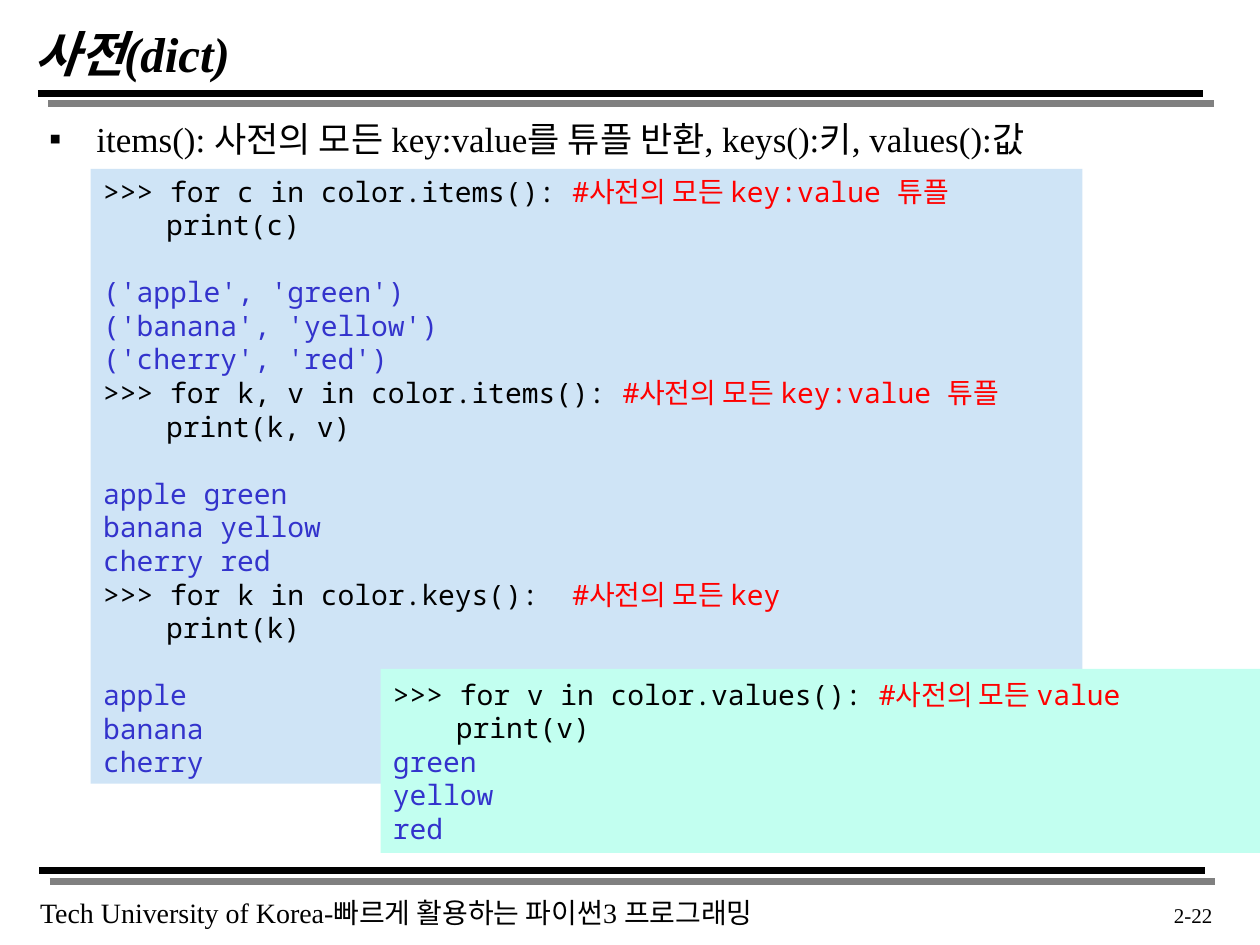
import pptx
import pptx.util
import pptx.dml.color
import pptx.enum.shapes
import pptx.enum.text
import pptx.oxml
import pptx.oxml.ns

Pt = pptx.util.Pt
RGB = pptx.dml.color.RGBColor
ALIGN = pptx.enum.text.PP_ALIGN
ANCHOR = pptx.enum.text.MSO_ANCHOR
AUTO = pptx.enum.text.MSO_AUTO_SIZE

BLACK = RGB(0x00, 0x00, 0x00)
RED = RGB(0xFF, 0x00, 0x00)
BLUE = RGB(0x33, 0x33, 0xCC)
PALE_BLUE = RGB(0xCF, 0xE4, 0xF6)
MINT = RGB(0xC2, 0xFF, 0xF0)
SERIF = "Times New Roman"
MONO = "Noto Sans Mono"
LINE_PITCH = 19.2

SHADOW = (
    f'<a:effectLst {pptx.oxml.ns.nsdecls("a")}>'
    '<a:outerShdw dist="107950" dir="2700000" algn="ctr" rotWithShape="0">'
    '<a:srgbClr val="808080"/></a:outerShdw></a:effectLst>'
)

ITEMS_CODE = [
    [(">>> for c in color.items(): ", BLACK), ("#사전의 모든 key:value 튜플", RED)],
    [("\tprint(c)", BLACK)],
    [],
    [("('apple', 'green')", BLUE)],
    [("('banana', 'yellow')", BLUE)],
    [("('cherry', 'red')", BLUE)],
    [(">>> for k, v in color.items(): ", BLACK), ("#사전의 모든 key:value 튜플", RED)],
    [("\tprint(k, v)", BLACK)],
    [],
    [("apple green", BLUE)],
    [("banana yellow", BLUE)],
    [("cherry red", BLUE)],
    [(">>> for k in color.keys():  ", BLACK), ("#사전의 모든 key", RED)],
    [("\tprint(k)", BLACK)],
    [],
    [("apple", BLUE)],
    [("banana", BLUE)],
    [("cherry", BLUE)],
]
VALUES_CODE = [
    [(">>> for v in color.values(): ", BLACK), ("#사전의 모든 value", RED)],
    [("\tprint(v)", BLACK)],
    [("green", BLUE)],
    [("yellow", BLUE)],
    [("red", BLUE)],
]


def place(sp, left, top, width, height):
    sp.left, sp.top, sp.width, sp.height = Pt(left), Pt(top), Pt(width), Pt(height)


def add_run(p, text, size, font=SERIF, color=BLACK, bold=False, italic=False):
    r = p.add_run()
    r.text = text
    r.font.name = font
    r.font.size = Pt(size)
    r.font.color.rgb = color
    r.font.bold = bold
    r.font.italic = italic


def add_rule(s, left, right, y):
    line = s.shapes.add_connector(
        pptx.enum.shapes.MSO_CONNECTOR.STRAIGHT, Pt(left), Pt(y), Pt(right), Pt(y))
    line.line.color.rgb = BLACK
    line.line.width = Pt(4)
    line._element.spPr.append(pptx.oxml.parse_xml(SHADOW))


def add_label(s, box, text, size, align=ALIGN.LEFT, wrap=True):
    tf = s.shapes.add_textbox(*map(Pt, box)).text_frame
    tf.word_wrap = wrap
    p = tf.paragraphs[0]
    p.alignment = align
    add_run(p, text, size)


def add_code(s, box, fill, lines):
    sp = s.shapes.add_shape(pptx.enum.shapes.MSO_SHAPE.RECTANGLE, *map(Pt, box))
    sp.shadow.inherit = False
    sp.fill.solid()
    sp.fill.fore_color.rgb = fill
    sp.line.fill.background()
    tf = sp.text_frame
    tf.word_wrap = True
    tf.vertical_anchor = ANCHOR.MIDDLE
    p, gap = tf.paragraphs[0], 0
    for line in lines:
        if not line:
            gap = LINE_PITCH
            continue
        if p.runs:
            p = tf.add_paragraph()
        p.alignment = ALIGN.LEFT
        p.line_spacing = Pt(LINE_PITCH)
        p.space_before = Pt(gap)
        gap = 0
        for text, color in line:
            add_run(p, text, 16, MONO, color)


def fill_title(sp, text):
    place(sp, 12.24, 12.24, 612, 36)
    tf = sp.text_frame
    tf.auto_size = AUTO.NONE
    tf.vertical_anchor = ANCHOR.MIDDLE
    p = tf.paragraphs[0]
    p.alignment = ALIGN.LEFT
    add_run(p, text, 28, bold=True, italic=True)


def fill_body(sp, text):
    place(sp, 20.88, 63.36, 675.36, 405.36)
    tf = sp.text_frame
    tf.auto_size = AUTO.NONE
    tf.vertical_anchor = ANCHOR.TOP
    p = tf.paragraphs[0]
    p.space_before = Pt(0)
    pPr = p._p.get_or_add_pPr()
    pPr.set("marL", str(Pt(27)))
    pPr.set("indent", str(-Pt(27)))
    bullet = pPr.makeelement(pptx.oxml.ns.qn("a:buChar"), {"char": "▪"})
    pPr.append(bullet)
    add_run(p, text, 20)


def main():
    prs = pptx.Presentation()
    prs.slide_width, prs.slide_height = Pt(720), Pt(540)
    s = prs.slides.add_slide(prs.slide_layouts[1])
    for left, right, y in ((21.6, 687.6, 53.28), (22.32, 688.32, 497.52)):
        add_rule(s, left + 54, right, y)
        add_rule(s, left, right, y)
    add_label(s, (15.84, 508.32, 447.12, 26.64),
              "Tech University of Korea-빠르게 활용하는 파이썬3 프로그래밍", 16, wrap=False)
    fill_title(s.shapes.title, "사전(dict)")
    fill_body(s.placeholders[1],
              "items(): 사전의 모든 key:value를 튜플 반환, keys():키, values():값")
    add_label(s, (640.08, 511.92, 59.76, 23.04), "2-22", 12, ALIGN.RIGHT)
    add_code(s, (51.84, 96.48, 566.64, 351.36), PALE_BLUE, ITEMS_CODE)
    add_code(s, (217.44, 382.32, 502.56, 105.12), MINT, VALUES_CODE)
    prs.save("out.pptx")


if __name__ == "__main__":
    main()
